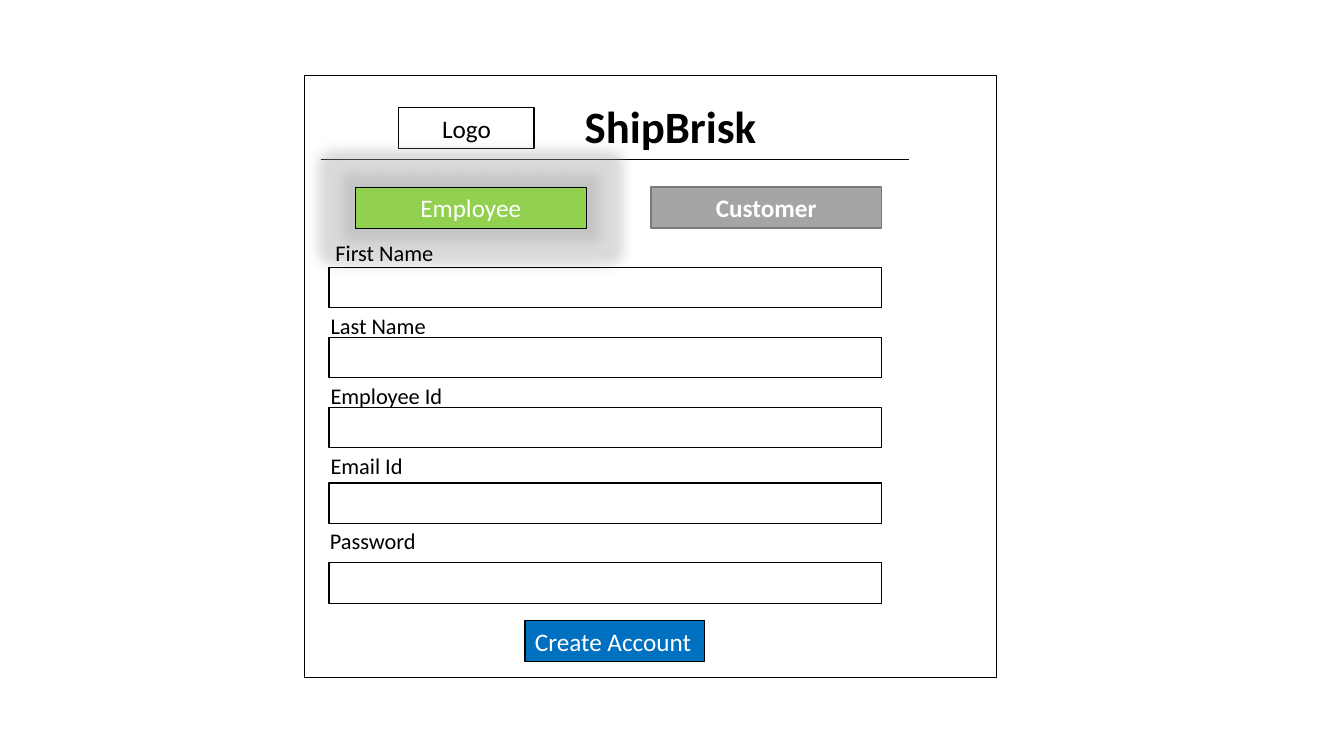
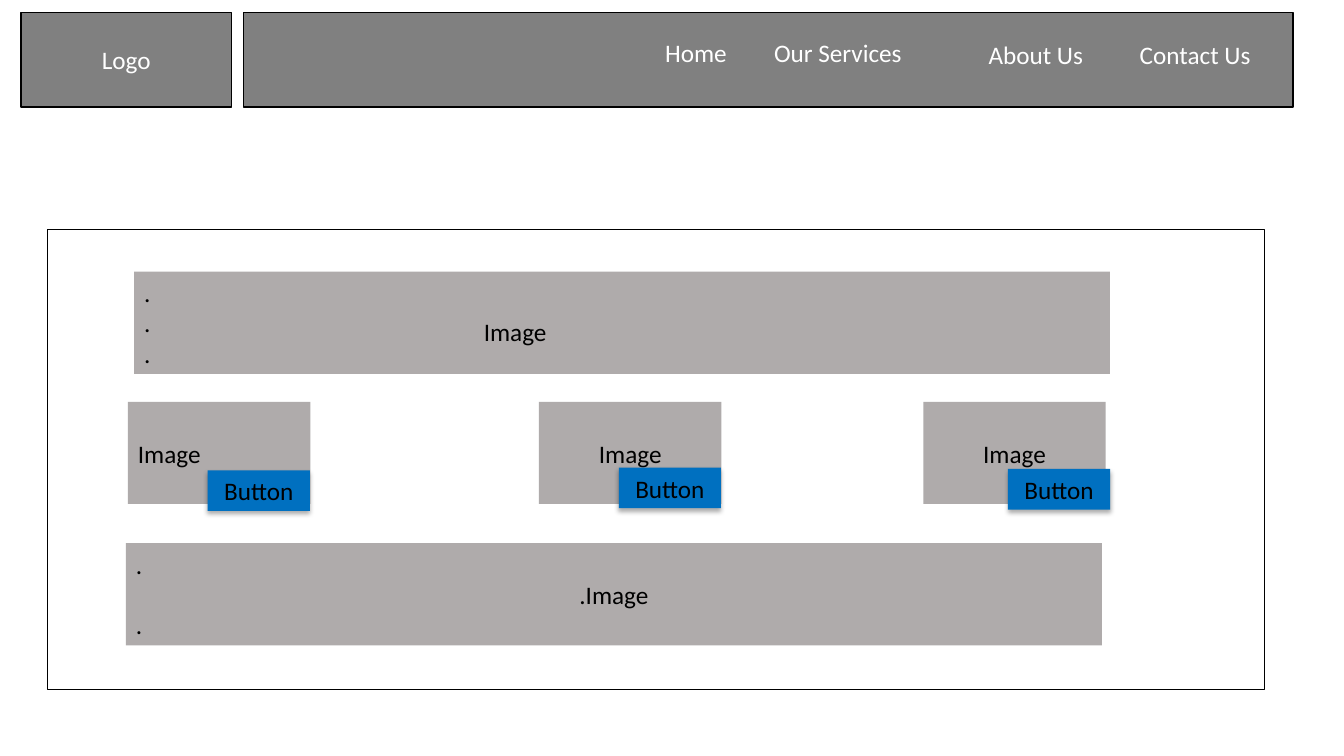
from dataclasses import dataclass

from lxml.etree import SubElement
from pptx import Presentation
from pptx.dml.color import RGBColor as Color
from pptx.enum.shapes import MSO_CONNECTOR as Connector
from pptx.enum.shapes import MSO_SHAPE as Shape
from pptx.enum.text import MSO_ANCHOR as Anchor
from pptx.enum.text import PP_ALIGN as Align
from pptx.oxml.ns import qn
from pptx.util import Pt


@dataclass(frozen=True)
class Theme:
    """Colours, font and type sizes shared by the slides."""
    font: str = "Calibri"
    ink: str = "000000"
    paper: str = "FFFFFF"
    bar: str = "808080"
    tile: str = "AFABAB"
    action: str = "0070C0"
    active: str = "92D050"
    idle: str = "A5A5A5"
    idle_edge: str = "7A7A7A"
    title: int = 32
    body: int = 18
    label: int = 16
    hairline: float = 0.5
    thin: float = 0.75
    medium: float = 1


THEME = Theme()
BLANK, TITLE_ONLY = 6, 5


def write(shape, *lines, size=THEME.body, color=THEME.ink, bold=False,
          align=Align.LEFT, anchor=Anchor.MIDDLE, wrap=True):
    """Write one paragraph per line; a line may be a (text, align) pair."""
    frame = shape.text_frame
    frame.word_wrap = wrap
    frame.vertical_anchor = anchor
    for index, line in enumerate(lines):
        text, side = line if isinstance(line, tuple) else (line, align)
        para = frame.add_paragraph() if index else frame.paragraphs[0]
        para.alignment = side
        span = para.add_run()
        span.text = text
        font = span.font
        font.name, font.size, font.bold = THEME.font, Pt(size), bold
        font.color.rgb = Color.from_string(color)


def add_box(page, left, top, width, height, fill=None, line=None,
            weight=THEME.thin):
    """Add a rectangle with an optional fill and outline."""
    box = page.shapes.add_shape(Shape.RECTANGLE, Pt(left), Pt(top),
                                Pt(width), Pt(height))
    box.shadow.inherit = False
    if fill:
        box.fill.solid()
        box.fill.fore_color.rgb = Color.from_string(fill)
    else:
        box.fill.background()
    if line:
        box.line.color.rgb = Color.from_string(line)
        box.line.width = Pt(weight)
    else:
        box.line.fill.background()
    return box


def add_label(page, text, left, top, width, height=29, **style):
    """Add a text box holding one line."""
    box = page.shapes.add_textbox(Pt(left), Pt(top), Pt(width), Pt(height))
    write(box, text, **style)


def add_rule(page, left, right, top):
    """Add a horizontal hairline."""
    rule = page.shapes.add_connector(Connector.STRAIGHT, Pt(left), Pt(top),
                                     Pt(right), Pt(top))
    rule.line.color.rgb = Color.from_string(THEME.ink)
    rule.line.width = Pt(THEME.hairline)
    SubElement(rule.element.spPr, qn("a:effectLst"))


def add_effect(shape, kind, color, opacity, **settings):
    """Add a glow or shadow in a partly transparent colour."""
    effects = shape.element.spPr.find(qn("a:effectLst"))
    effect = SubElement(effects, qn(f"a:{kind}"),
                        {name: str(value) for name, value in settings.items()})
    shade = SubElement(effect, qn("a:srgbClr"), val=color)
    SubElement(shade, qn("a:alpha"), val=str(opacity * 1000))


def add_field(page, label, label_left, label_top, field_top):
    """Add a form label and its empty input."""
    add_label(page, label, label_left, label_top, 187, 26.6, size=THEME.label)
    add_box(page, 235, field_top, 394.5, 29, line=THEME.ink)


def add_button(page, left, top):
    """Add a raised button."""
    button = add_box(page, left, top, 73, 29, fill=THEME.action)
    add_effect(button, "outerShdw", THEME.ink, 32, blurRad=Pt(3.5),
               dist=Pt(2.2), dir=5400000, algn="ctr", rotWithShape=0)
    write(button, "Button", align=Align.CENTER)


def build_sign_up(deck):
    """Build the account form."""
    page = deck.slides.add_slide(deck.slide_layouts[TITLE_ONLY])
    title = page.shapes.title
    title.left, title.top, title.width, title.height = map(
        Pt, (410.4, 67, 165, 46))
    write(title, "ShipBrisk", size=THEME.title, bold=True, wrap=False)

    add_box(page, 217.5, 54, 494.5, 430, line=THEME.ink)
    logo = add_box(page, 285, 77, 96.5, 29, line=THEME.ink)
    write(logo, "Logo", align=Align.CENTER)
    add_rule(page, 229, 649.5, 113.8)

    employee = add_box(page, 254, 133.5, 164.5, 29.5, fill=THEME.active,
                       line=THEME.ink, weight=THEME.hairline)
    add_effect(employee, "glow", THEME.idle, 40, rad=Pt(18))
    write(employee, "Employee", color=THEME.paper, align=Align.CENTER)
    customer = add_box(page, 465, 133.5, 164.5, 29.5, fill=THEME.idle,
                       line=THEME.idle_edge, weight=THEME.medium)
    write(customer, "Customer", color=THEME.paper, bold=True,
          align=Align.CENTER)

    for label, label_left, label_top, field_top in (
            ("First Name", 232.5, 167, 191),
            ("Last Name", 229, 219, 241),
            ("Employee Id", 229, 269, 291),
            ("Email Id", 229, 319, 345),
            ("Password", 228.5, 373, 402)):
        add_field(page, label, label_left, label_top, field_top)

    create = add_box(page, 375, 443.5, 128.5, 29, fill=THEME.action,
                     line=THEME.ink)
    write(create, "Create Account", color=THEME.paper, wrap=False)


def build_home(deck):
    """Build the home page with its menu bar and image tiles."""
    page = deck.slides.add_slide(deck.slide_layouts[BLANK])
    bar = dict(fill=THEME.bar, line=THEME.ink, weight=THEME.medium)
    logo = add_box(page, 15, 9, 150.5, 67.5, **bar)
    write(logo, "Logo", color=THEME.paper, align=Align.CENTER)
    add_box(page, 174, 9, 749.5, 67.5, **bar)
    for text, left, top, width in (("Home", 468, 23, 65.5),
                                   ("Our Services", 545.8, 23, 114),
                                   ("About Us", 699, 24, 109),
                                   ("Contact Us", 807, 24, 109)):
        add_label(page, text, left, top, width, color=THEME.paper)

    add_box(page, 34, 164, 869, 328.5, line=THEME.ink)
    top_banner = add_box(page, 95.8, 194, 697, 73, fill=THEME.tile)
    write(top_banner, ".", ".", ".")
    add_label(page, "Image", 221, 222.5, 294, align=Align.CENTER)
    low_banner = add_box(page, 90, 388, 697, 73, fill=THEME.tile)
    write(low_banner, ".", (".Image", Align.CENTER), ".")

    for left, align, button_left, button_top in (
            (91.4, Align.LEFT, 148.3, 336),
            (385, Align.CENTER, 442, 334),
            (659.5, Align.CENTER, 720, 335)):
        tile = add_box(page, left, 287, 130.3, 73, fill=THEME.tile)
        write(tile, "Image", align=align)
        add_button(page, button_left, button_top)


def main():
    """Build the deck and save it."""
    deck = Presentation()
    deck.slide_width, deck.slide_height = Pt(960), Pt(540)
    build_sign_up(deck)
    build_home(deck)
    deck.save("out.pptx")


main()
